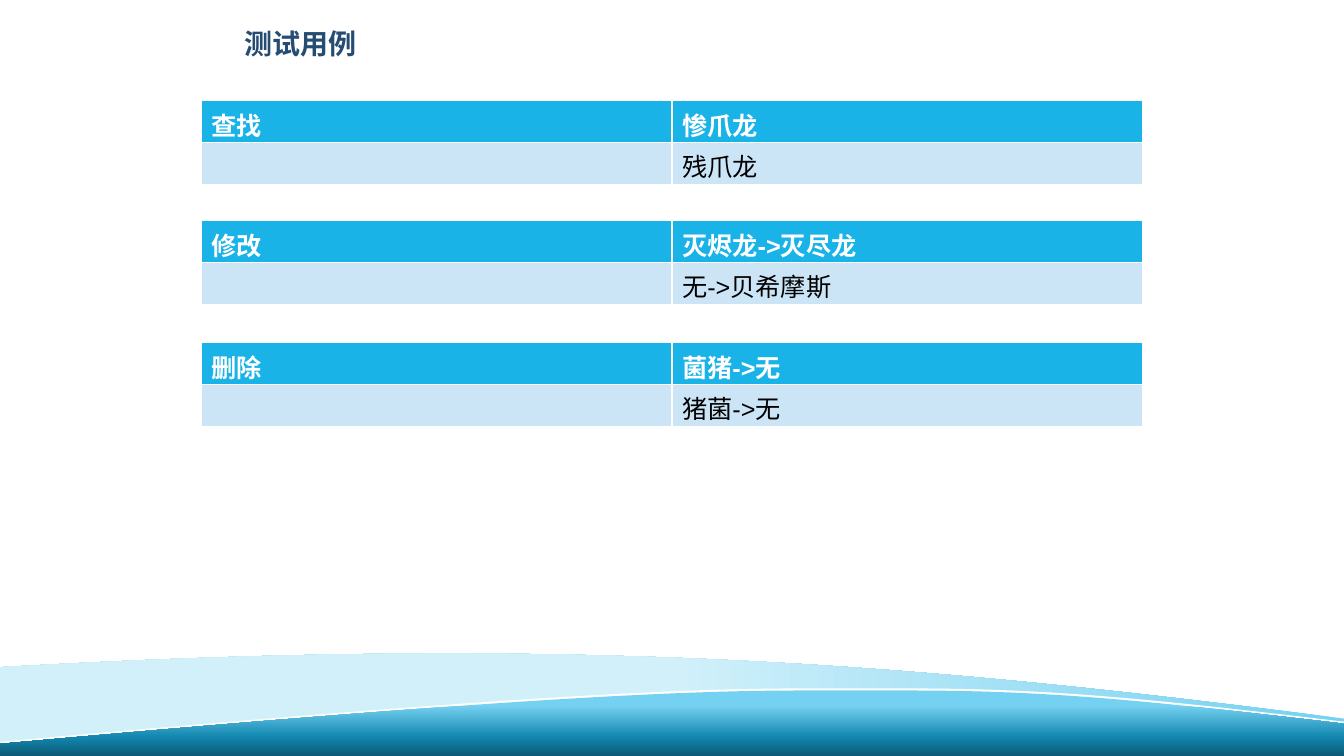
from dataclasses import dataclass

from lxml import etree
from pptx import Presentation
from pptx import util as u
from pptx.dml.color import RGBColor
from pptx.enum import text
from pptx.oxml import parse_xml
from pptx.oxml.ns import nsdecls, qn


@dataclass(frozen=True)
class Theme:
    font: str = "Arial"
    title_size: int = 20
    cell_size: int = 18
    title: str = "264C73"
    header: str = "19B3E8"
    body: str = "CCE5F6"
    white: str = "FFFFFF"
    black: str = "000000"
    sky: str = "75D1F1"
    pale: str = "D1F0FA"
    sea: str = "1287AF"
    deep: str = "0C5A75"


THEME = Theme()
CASES = [
    (1, [("查找", "惨爪龙"), ("", "残爪龙")]),
    (2.19, [("修改", "灭烬龙->灭尽龙"), ("", "无->贝希摩斯")]),
    (3.4, [("删除", "菌猪->无"), ("", "猪菌->无")]),
]


def add_run(p, words, size, color, bold):
    r = p.add_run()
    r.text = words
    r.font.name = THEME.font
    r.font.size = u.Pt(size)
    r.font.bold = bold
    r.font.color.rgb = RGBColor.from_string(color)


def add_wave(s, left, top, width, height, start, segments):
    """Outline a band; a segment is one point (line) or three (cubic curve)."""
    x, y, w, h = map(u.Inches, (left, top, width, height))
    builder = s.shapes.build_freeform(x, y, scale=1.0)
    builder.add_line_segments([(x + w, y), (x + w, y + h), (x, y + h)], close=True)
    sp = builder.convert_to_shape()
    sp.shadow.inherit = False
    sp.line.fill.background()

    outline = next(sp.element.iter(qn("a:path")))
    for step in list(outline):
        outline.remove(step)
    steps = [("moveTo", [start])]
    steps += [("lnTo" if len(seg) == 1 else "cubicBezTo", seg) for seg in segments]
    for tag, points in steps:
        step = etree.SubElement(outline, qn(f"a:{tag}"))
        for px, py in points:
            etree.SubElement(step, qn("a:pt"), x=str(u.Inches(px)), y=str(u.Inches(py)))
    etree.SubElement(outline, qn("a:close"))
    return sp


def fill_gradient(sp, angle, stops):
    marks = "".join(f'<a:gs pos="{pos * 1000}"><a:srgbClr val="{color}"/></a:gs>'
                    for pos, color in stops)
    sp.fill.solid()
    solid = sp.element.spPr.find(qn("a:solidFill"))
    solid.getparent().replace(solid, parse_xml(
        f'<a:gradFill {nsdecls("a")} rotWithShape="1"><a:gsLst>{marks}</a:gsLst>'
        f'<a:lin ang="{angle * 60000}" scaled="0"/></a:gradFill>'))


def add_waves(s, left, top, width):
    """Draw the three bands along the foot of the slide."""
    back = add_wave(s, left, top, width, 0.93, (0, 0.14), [
        ((5.92, -0.2), (9.33, 0.14), (width, 0.65)),
        ((width, 0.88), (width, 0.61), (width, 0.85)),
        ((8.72, -0.07), (4.83, 0.7), (0, 0.93)),
        ((0, 0.14),)])
    fill_gradient(back, 180, [(0, THEME.sky), (50, THEME.pale), (100, THEME.pale)])

    crest = [((8.35, 0), (8.65, 0), (8.99, 0)),
             ((10.36, 0), (11.31, 0.09), (width, 0.33))]
    rise = [((0, 0.53),), ((5.19, 0.06), (6.88, 0), (7.98, 0))]
    edge = add_wave(s, left, top + 0.35, width, 0.64, (7.98, 0), crest + [
        ((width, 0.43),),
        ((11.31, 0.19), (10.36, 0.1), (8.99, 0.11)),
        ((8.65, 0.11), (8.35, 0.1), (7.98, 0.1)),
        ((6.88, 0.1), (5.19, 0.17), (0, 0.63))] + rise)
    edge.fill.solid()
    edge.fill.fore_color.rgb = RGBColor.from_string(THEME.white)

    front = add_wave(s, left, top + 0.37, width, 0.65, (7.98, 0),
                     crest + [((width, 0.65),), ((0, 0.65),)] + rise)
    fill_gradient(front, 90, [(23, THEME.sky), (71, THEME.sea), (100, THEME.deep)])


def add_title(s, left, top, width, height):
    box = s.shapes.add_textbox(*map(u.Inches, (left, top, width, height)))
    tf = box.text_frame
    tf.word_wrap = False
    tf.auto_size = text.MSO_AUTO_SIZE.SHAPE_TO_FIT_TEXT
    p = tf.paragraphs[0]
    p.line_spacing = 1.3
    add_run(p, "测试用例", THEME.title_size, THEME.title, True)


def add_case_table(s, left, top, width, height, rows):
    """Place a table whose white rules come from the default table style."""
    frame = s.shapes.add_table(len(rows), len(rows[0]),
                               *map(u.Inches, (left, top, width, height)))
    for i, row in enumerate(rows):
        is_header = i == 0
        for j, words in enumerate(row):
            cell = frame.table.cell(i, j)
            cell.fill.solid()
            cell.fill.fore_color.rgb = RGBColor.from_string(
                THEME.header if is_header else THEME.body)
            if words:
                add_run(cell.text_frame.paragraphs[0], words, THEME.cell_size,
                        THEME.white if is_header else THEME.black, is_header)


def main():
    prs = Presentation()
    prs.slide_width, prs.slide_height = u.Inches(13.33), u.Inches(7.5)
    s = prs.slides.add_slide(prs.slide_layouts[6])
    add_waves(s, 0, 6.48, 13.33)
    add_title(s, 2.33, 0.11, 1.31, 0.54)
    for top, rows in CASES:
        add_case_table(s, 2, top, 9.33, 0.83, rows)
    prs.save("out.pptx")


if __name__ == "__main__":
    main()
